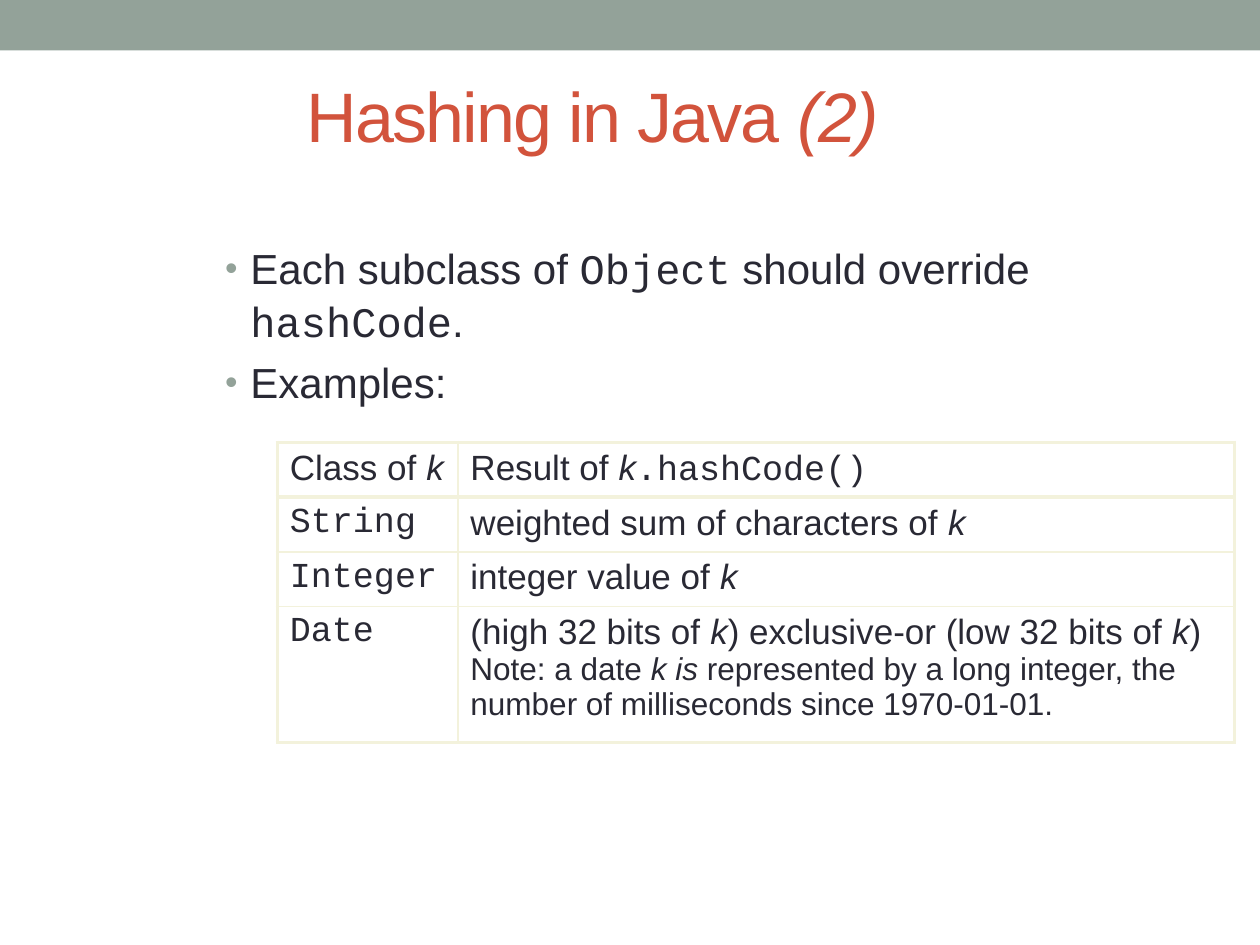
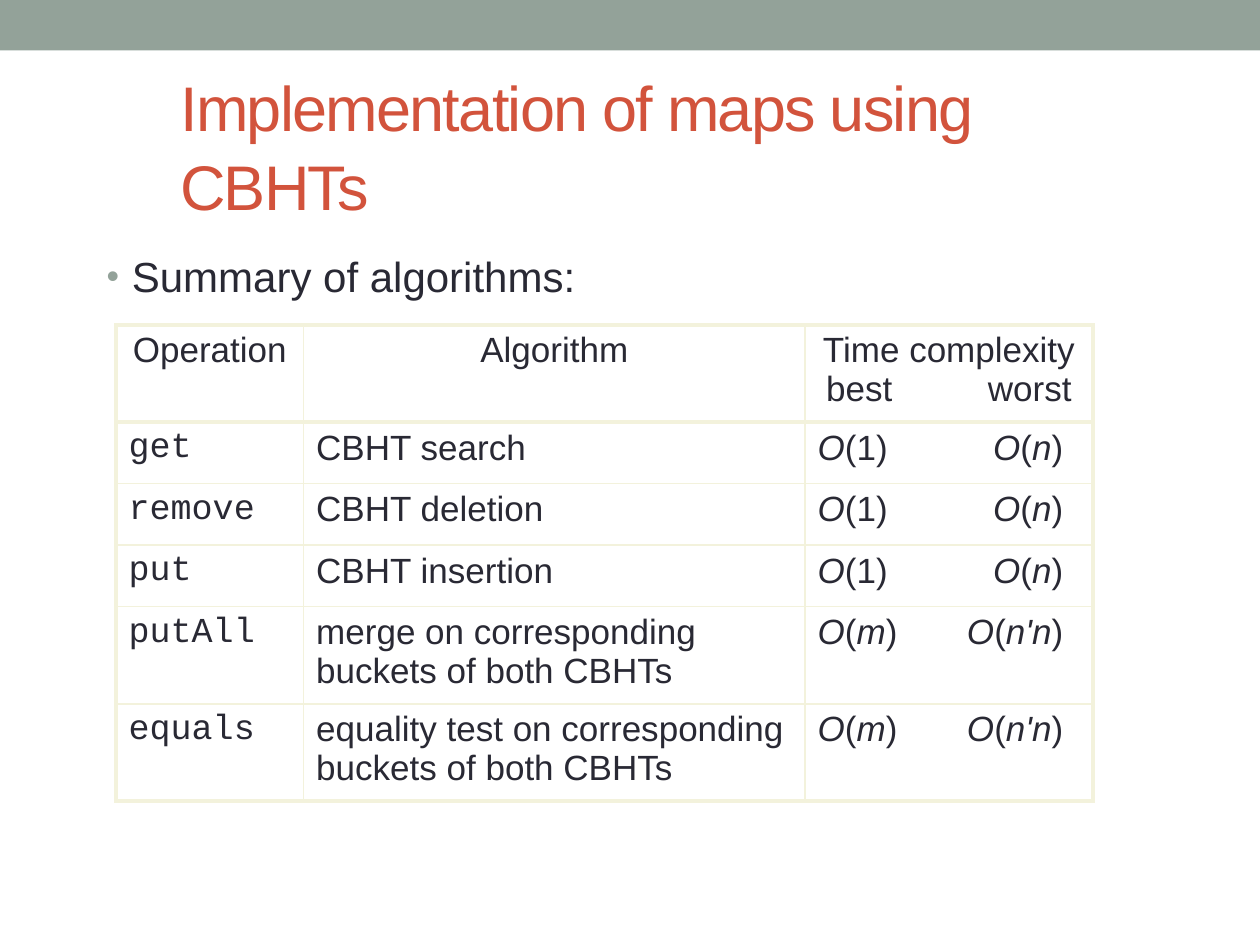
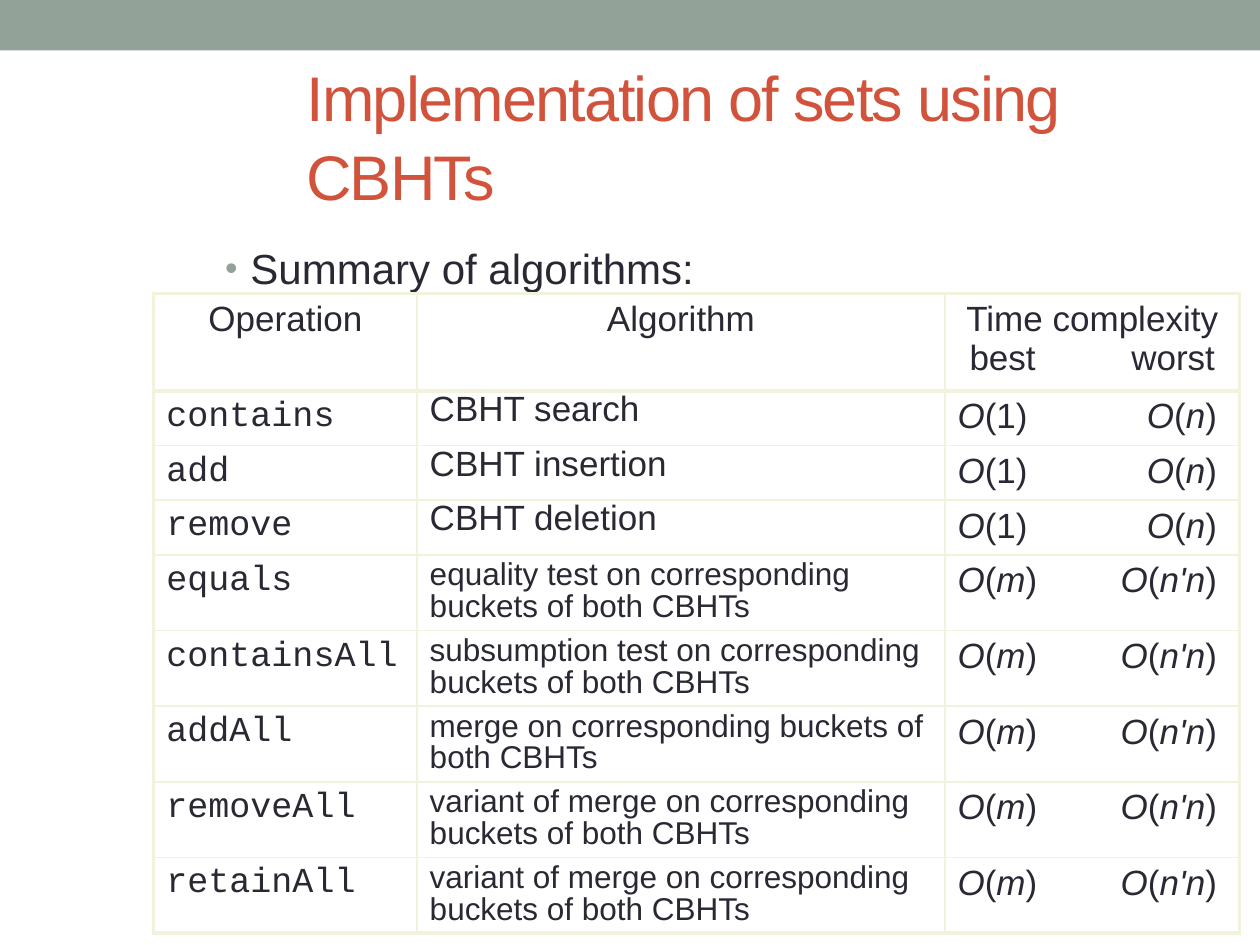
from lxml import etree
from pptx import Presentation
from pptx import util as u
from pptx.dml.color import RGBColor
from pptx.enum import shapes, text
from pptx.oxml.ns import qn

SAGE = RGBColor(0x93, 0xA2, 0x99)
BRICK = RGBColor(0xD2, 0x53, 0x3C)
INK = RGBColor(0x29, 0x29, 0x34)
CREAM = RGBColor(0xF3, 0xF2, 0xDC)
WHITE = RGBColor(0xFF, 0xFF, 0xFF)
SANS, MONO = "Arial", "Courier New"
SLIDE_WIDTH, SLIDE_HEIGHT = u.Cm(25.4), u.Cm(19.05)
TITLE_WIDTH, TITLE_HEIGHT = 17.07, 2.01
THICK, THIN = u.Pt(2.25), u.Pt(1)
LINE_SPACING = 1.05
CONSTANT = "*O*(1)\t*O*(*n*)"
LINEAR = "*O*(*m*)\t*O*(*n'n*)"
HEADINGS = ("Operation", "Algorithm", "Time complexity\nbest\tworst")


def add_child(parent, tag, **attributes):
    """Append a DrawingML element and return it."""
    return etree.SubElement(parent, qn(tag), {key: str(value) for key, value in attributes.items()})


def format_run(run, size, color, font=SANS, italic=False):
    """Give a run its font, size, colour and slant."""
    run.font.name = font
    run.font.size = u.Pt(size)
    run.font.color.rgb = color
    run.font.italic = italic


def write_marked(paragraph, marked, sizes, color=INK):
    """Write lines in which *stars* mean italic and `backticks` mean code."""
    for number, line in enumerate(marked.split("\n")):
        if number:
            paragraph.add_line_break()
        size = sizes[min(number, len(sizes) - 1)]
        for code, section in enumerate(line.split("`")):
            for slant, words in enumerate(section.split("*")):
                if words:
                    run = paragraph.add_run()
                    run.text = words
                    format_run(run, size, color, MONO if code % 2 else SANS, bool(slant % 2))


def set_space_before(paragraph, percent):
    """Set the space before a paragraph as a percentage of its line."""
    spacing = add_child(paragraph._p.get_or_add_pPr(), "a:spcBef")
    add_child(spacing, "a:spcPct", val=percent * 1000)


def add_band(slide):
    """Draw the band across the top of the slide."""
    band = slide.shapes.add_shape(shapes.MSO_SHAPE.RECTANGLE, 0, 0, SLIDE_WIDTH, u.Cm(1.02))
    band.shadow.inherit = False
    band.fill.solid()
    band.fill.fore_color.rgb = SAGE
    band.line.fill.background()


def place_title(slide, left, top, marked, size):
    """Move the title placeholder and write the title."""
    title = slide.shapes.title
    title.left, title.top = u.Cm(left), u.Cm(top)
    title.width, title.height = u.Cm(TITLE_WIDTH), u.Cm(TITLE_HEIGHT)
    frame = title.text_frame
    frame.word_wrap = True
    frame.auto_size = text.MSO_AUTO_SIZE.NONE
    frame.vertical_anchor = text.MSO_ANCHOR.MIDDLE
    paragraph = frame.paragraphs[0]
    paragraph.alignment = text.PP_ALIGN.LEFT
    paragraph.line_spacing = LINE_SPACING
    write_marked(paragraph, marked, [size], BRICK)
    for run in paragraph.runs:
        run.font._element.set("spc", "-100")


def add_bullets(slide, left, top, width, items):
    """Add the bulleted body text."""
    box = slide.shapes.add_textbox(u.Cm(left), u.Cm(top), u.Cm(width), u.Cm(12.83))
    frame = box.text_frame
    frame.word_wrap = True
    for number, item in enumerate(items):
        paragraph = frame.add_paragraph() if number else frame.paragraphs[0]
        paragraph.line_spacing = LINE_SPACING
        set_space_before(paragraph, 20)
        properties = paragraph._p.get_or_add_pPr()
        properties.set("marL", str(u.Cm(0.51)))
        properties.set("indent", str(-u.Cm(0.51)))
        add_child(add_child(properties, "a:buClr"), "a:srgbClr", val=SAGE)
        add_child(properties, "a:buSzPct", val=85000)
        add_child(properties, "a:buFont", typeface=SANS)
        add_child(properties, "a:buChar", char="•")
        write_marked(paragraph, item, [24])


def set_borders(cell, widths):
    """Draw the left, right, top and bottom borders of a cell."""
    properties = cell._tc.get_or_add_tcPr()
    for position, (side, width) in enumerate(zip("LRTB", widths)):
        line = add_child(properties, f"a:ln{side}", w=width)
        add_child(add_child(line, "a:solidFill"), "a:srgbClr", val=CREAM)
        properties.insert(position, line)


def write_cell(cell, marked, sizes=(20,), centred=False, tab=None, exact=None):
    """Write one table cell, with an optional right tab and exact line pitch."""
    paragraph = cell.text_frame.paragraphs[0]
    if centred:
        paragraph.alignment = text.PP_ALIGN.CENTER
    if exact:
        paragraph.line_spacing = u.Pt(exact)
    else:
        set_space_before(paragraph, 50)
    if tab:
        tabs = add_child(paragraph._p.get_or_add_pPr(), "a:tabLst")
        add_child(tabs, "a:tab", pos=u.Cm(tab), algn="r")
    write_marked(paragraph, marked, sizes)


def add_grid(slide, left, top, widths, heights):
    """Add an empty table with a thick frame and a thick rule below its header."""
    shape = slide.shapes.add_table(len(heights), len(widths), u.Cm(left), u.Cm(top),
                                   u.Cm(sum(widths)), u.Cm(sum(heights)))
    table = shape.table
    table.first_row = table.horz_banding = False
    for column, width in zip(table.columns, widths):
        column.width = u.Cm(width)
    for row, height in zip(table.rows, heights):
        row.height = u.Cm(height)
    last_row, last_column = len(heights) - 1, len(widths) - 1
    for row in range(len(heights)):
        for column in range(len(widths)):
            cell = table.cell(row, column)
            cell.fill.solid()
            cell.fill.fore_color.rgb = WHITE
            thick = (column == 0, column == last_column, row < 2, row in (0, last_row))
            set_borders(cell, [THICK if heavy else THIN for heavy in thick])
    return table


def add_hash_table(slide, left, top):
    """Add the table of hash codes by class."""
    rows = (
        ("Class of *k*", "Result of *k*`.hashCode()`"),
        ("`String`", "weighted sum of characters of *k*"),
        ("`Integer`", "integer value of *k*"),
        ("`Date`", "(high 32 bits of *k*) exclusive-or (low 32 bits of *k*)\n"
                   "Note: a date *k is* represented by a long integer, the number of "
                   "milliseconds since 1970-01-01."),
    )
    table = add_grid(slide, left, top, (3.64, 15.66), [1.09] * 3 + [2.74])
    for row, entries in enumerate(rows):
        for column, entry in enumerate(entries):
            write_cell(table.cell(row, column), entry, (20, 18))


def add_summary_table(slide, left, top, widths, heights, operations, tab, compact=False):
    """Add a table of operations, algorithms and time complexities."""
    table = add_grid(slide, left, top, widths, heights)
    for column, heading in enumerate(HEADINGS):
        write_cell(table.cell(0, column), heading, centred=True, tab=4.95 if column == 2 else None)
    for row, (operation, algorithm, complexity) in enumerate(operations, start=1):
        size = 18 if compact and complexity == LINEAR else 20
        write_cell(table.cell(row, 0), f"`{operation}`")
        write_cell(table.cell(row, 1), algorithm, (size,), exact=18 if compact else None)
        write_cell(table.cell(row, 2), complexity, tab=tab)


def start_slide(presentation):
    """Add a title-only slide with the shared band."""
    slide = presentation.slides.add_slide(presentation.slide_layouts[5])
    add_band(slide)
    return slide


def build_hashing(presentation):
    """Build the slide on hashing."""
    slide = start_slide(presentation)
    place_title(slide, 5.92, 1.27, "Hashing in Java *(2)*", 40)
    add_bullets(slide, 4.29, 4.72, 20.02,
                ("Each subclass of `Object` should override `hashCode`.", "Examples:"))
    add_hash_table(slide, 5.59, 8.92)


def build_maps(presentation):
    """Build the slide on maps."""
    operations = (
        ("get", "CBHT search", CONSTANT),
        ("remove", "CBHT deletion", CONSTANT),
        ("put", "CBHT insertion", CONSTANT),
        ("putAll", "merge on corresponding buckets of both CBHTs", LINEAR),
        ("equals", "equality test on corresponding buckets of both CBHTs", LINEAR),
    )
    slide = start_slide(presentation)
    place_title(slide, 3.38, 1.9, "Implementation of maps using CBHTs", 36)
    add_bullets(slide, 1.9, 4.88, 20.02, ("Summary of algorithms:",))
    add_summary_table(slide, 2.34, 6.55, (3.78, 10.11, 5.8),
                      [1.96] + [1.24] * 3 + [1.96] * 2, operations, 4.95)


def build_sets(presentation):
    """Build the slide on sets."""
    variant = "variant of merge on corresponding buckets of both CBHTs"
    operations = (
        ("contains", "CBHT search", CONSTANT),
        ("add", "CBHT insertion", CONSTANT),
        ("remove", "CBHT deletion", CONSTANT),
        ("equals", "equality test on corresponding buckets of both CBHTs", LINEAR),
        ("containsAll", "subsumption test on corresponding buckets of both CBHTs", LINEAR),
        ("addAll", "merge on corresponding buckets of both CBHTs", LINEAR),
        ("removeAll", variant, LINEAR),
        ("retainAll", variant, LINEAR),
    )
    slide = start_slide(presentation)
    place_title(slide, 5.92, 1.7, "Implementation of sets using CBHTs", 36)
    add_bullets(slide, 4.29, 4.72, 19.91, ("Summary of algorithms:",))
    add_summary_table(slide, 3.1, 5.92, (5.31, 10.64, 5.94),
                      [1.96] + [1.09] * 3 + [1.52] * 5, operations, 5.23, compact=True)


def main():
    """Build and save the presentation."""
    presentation = Presentation()
    presentation.slide_width, presentation.slide_height = SLIDE_WIDTH, SLIDE_HEIGHT
    for build in (build_hashing, build_maps, build_sets):
        build(presentation)
    presentation.save("out.pptx")


main()
